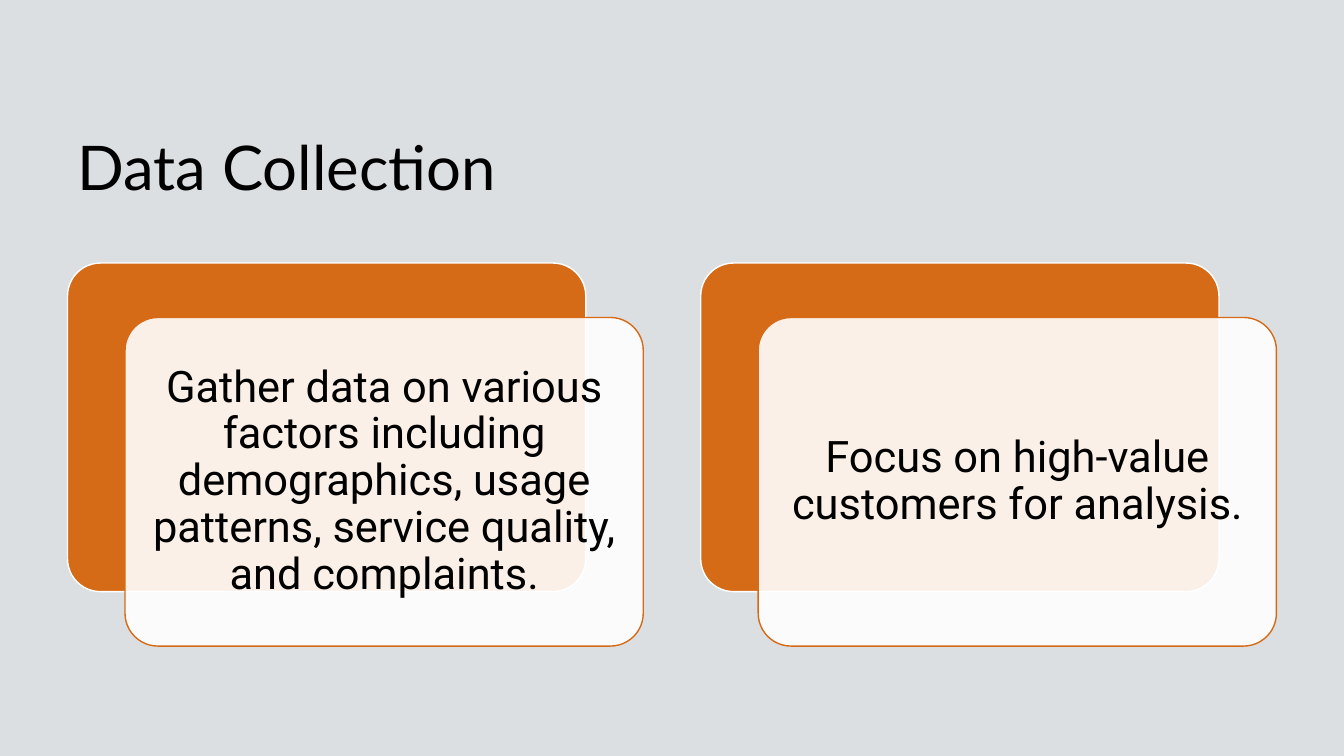
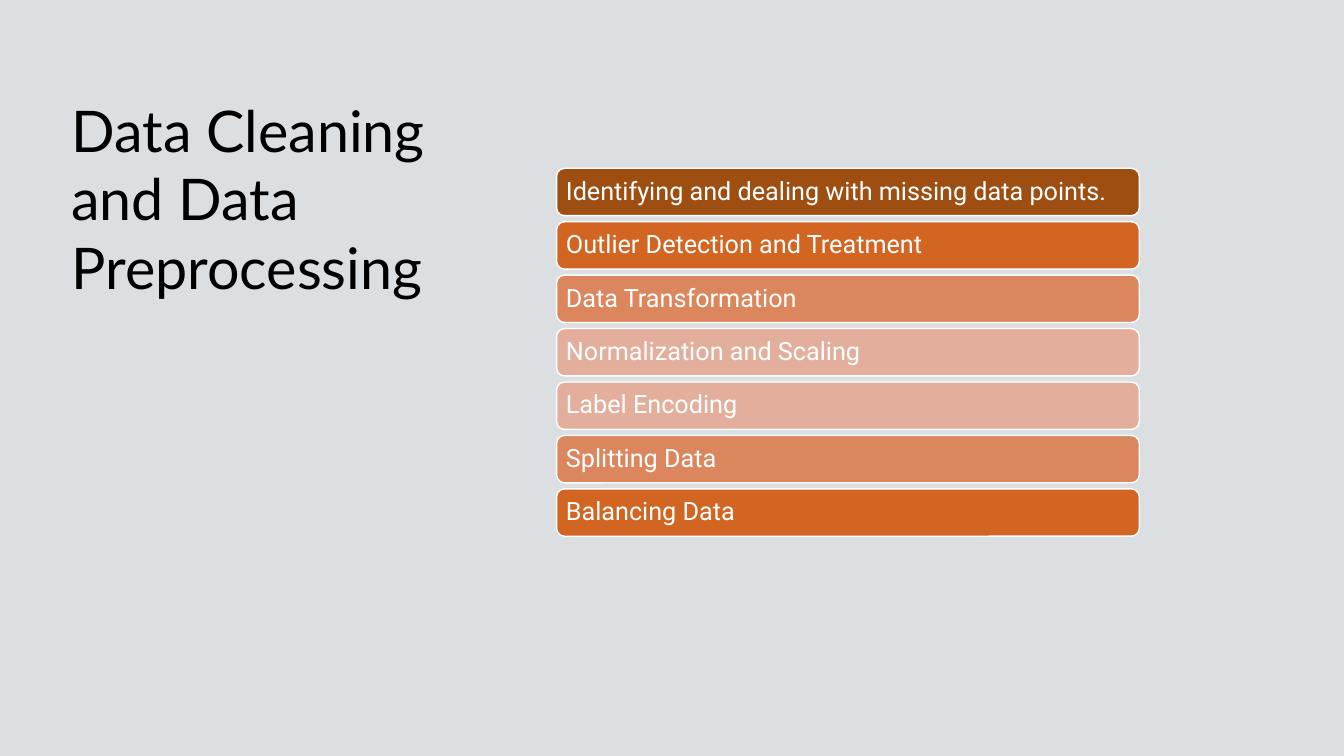
from dataclasses import dataclass
from typing import Optional

from lxml import etree
from pptx import Presentation
from pptx.dml.color import RGBColor
from pptx.enum.shapes import MSO_SHAPE
from pptx.enum.text import MSO_ANCHOR, PP_ALIGN
from pptx.oxml.ns import qn
from pptx.util import Inches, Pt

RECTANGLE = MSO_SHAPE.RECTANGLE
ROUNDED = MSO_SHAPE.ROUNDED_RECTANGLE
TOP, MIDDLE, BOTTOM = MSO_ANCHOR.TOP, MSO_ANCHOR.MIDDLE, MSO_ANCHOR.BOTTOM
LEFT, CENTER = PP_ALIGN.LEFT, PP_ALIGN.CENTER

WIDTH, HEIGHT = 13.33, 7.5
BACKGROUND, VEIL = "E2E5E8", "AEAEAE"
BLACK, WHITE, ORANGE = "000000", "FFFFFF", "D56A17"
TITLE_FONT, BODY_FONT = "Lato", "Roboto"

CARD_WIDTH, CARD_HEIGHT, CARD_CORNER = 5.14, 3.26, 0.1
CARD_LEFT, CARD_TOP, CARD_PITCH = 0.67, 2.61, 6.28
FRONT_SHIFT_X, FRONT_SHIFT_Y = 0.57, 0.54

BAR_WIDTH, BAR_HEIGHT = 5.78, 0.47
BAR_LEFT, BAR_TOP, BAR_PITCH = 5.52, 1.67, 0.53


@dataclass(frozen=True)
class Box:
    left: float
    top: float
    width: float
    height: float

    def shifted(self, dx: float, dy: float) -> "Box":
        return Box(self.left + dx, self.top + dy, self.width, self.height)

    def lengths(self) -> tuple:
        return tuple(Inches(v) for v in (self.left, self.top, self.width, self.height))


@dataclass(frozen=True)
class TextStyle:
    font: str
    size: float
    color: str
    align: int = LEFT
    anchor: int = MIDDLE
    inset_x: float = 0.1
    inset_y: float = 0.05
    line_spacing: float = 1.0


@dataclass(frozen=True)
class Step:
    label: str
    fill: str


CARD_TEXT = TextStyle(BODY_FONT, 31, BLACK, CENTER, MIDDLE, 0.13, 0.13, 0.9)
STEP_TEXT = TextStyle(BODY_FONT, 18, WHITE, LEFT, MIDDLE, 0.07, 0.07, 0.9)

CARDS = [
    "Gather data on various factors including demographics, usage patterns, "
    "service quality, and complaints.",
    "Focus on high-value customers for analysis.",
]

STEPS = [
    Step("Identifying and dealing with missing data points.", "9E4E11"),
    Step("Outlier Detection and Treatment", "D26522"),
    Step("Data Transformation", "DC865E"),
    Step("Normalization and Scaling", "E3AF9C"),
    Step("Label Encoding", "E3AF9C"),
    Step("Splitting Data", "DC865E"),
    Step("Balancing Data", "D26522"),
]


def set_fill(fill, color: str, opacity: int = 100) -> None:
    fill.solid()
    fill.fore_color.rgb = RGBColor.from_string(color)
    if opacity < 100:
        color_element = fill._xPr.find(qn("a:solidFill"))[0]
        etree.SubElement(color_element, qn("a:alpha"), val=str(opacity * 1000))


def write(frame, text: str, style: TextStyle) -> None:
    frame.word_wrap = True
    frame.vertical_anchor = style.anchor
    frame.margin_left = frame.margin_right = Inches(style.inset_x)
    frame.margin_top = frame.margin_bottom = Inches(style.inset_y)
    paragraph = frame.paragraphs[0]
    paragraph.text = text
    paragraph.alignment = style.align
    paragraph.line_spacing = style.line_spacing
    paragraph.font.name = style.font
    paragraph.font.size = Pt(style.size)
    paragraph.font.color.rgb = RGBColor.from_string(style.color)


def add_panel(slide, kind: int, box: Box, color: str, outline: Optional[str] = None,
              opacity: int = 100, corner: Optional[float] = None):
    panel = slide.shapes.add_shape(kind, *box.lengths())
    panel.shadow.inherit = False
    set_fill(panel.fill, color, opacity)
    if corner is not None:
        panel.adjustments[0] = corner
    if outline is None:
        panel.line.fill.background()
    else:
        set_fill(panel.line.fill, outline)
        panel.line.width = Pt(1)
    return panel


def add_titled_slide(deck, title: str, box: Box, size: float, anchor: int):
    slide = deck.slides.add_slide(deck.slide_layouts[6])
    set_fill(slide.background.fill, BACKGROUND)
    add_panel(slide, RECTANGLE, Box(0, 0, WIDTH, HEIGHT), VEIL, opacity=10)
    heading = slide.shapes.add_textbox(*box.lengths())
    write(heading.text_frame, title, TextStyle(TITLE_FONT, size, BLACK, anchor=anchor))
    return slide


def add_card(slide, text: str, back: Box) -> None:
    add_panel(slide, ROUNDED, back, ORANGE, WHITE, corner=CARD_CORNER)
    front = add_panel(slide, ROUNDED, back.shifted(FRONT_SHIFT_X, FRONT_SHIFT_Y),
                      WHITE, ORANGE, opacity=90, corner=CARD_CORNER)
    write(front.text_frame, text, CARD_TEXT)


def add_step(slide, step: Step, box: Box) -> None:
    bar = add_panel(slide, ROUNDED, box, step.fill, WHITE)
    write(bar.text_frame, step.label, STEP_TEXT)


def build_collection(deck) -> None:
    slide = add_titled_slide(deck, "Data Collection", Box(0.67, 0.61, 12, 1.45), 44, BOTTOM)
    first = Box(CARD_LEFT, CARD_TOP, CARD_WIDTH, CARD_HEIGHT)
    for index, text in enumerate(CARDS):
        add_card(slide, text, first.shifted(index * CARD_PITCH, 0))


def build_preprocessing(deck) -> None:
    slide = add_titled_slide(deck, "Data Cleaning and Data Preprocessing",
                             Box(0.61, 0.89, 4.05, 5.92), 41, TOP)
    first = Box(BAR_LEFT, BAR_TOP, BAR_WIDTH, BAR_HEIGHT)
    for index, step in enumerate(STEPS):
        add_step(slide, step, first.shifted(0, index * BAR_PITCH))


def main() -> None:
    deck = Presentation()
    deck.slide_width, deck.slide_height = Inches(WIDTH), Inches(HEIGHT)
    build_collection(deck)
    build_preprocessing(deck)
    deck.save("out.pptx")


if __name__ == "__main__":
    main()
